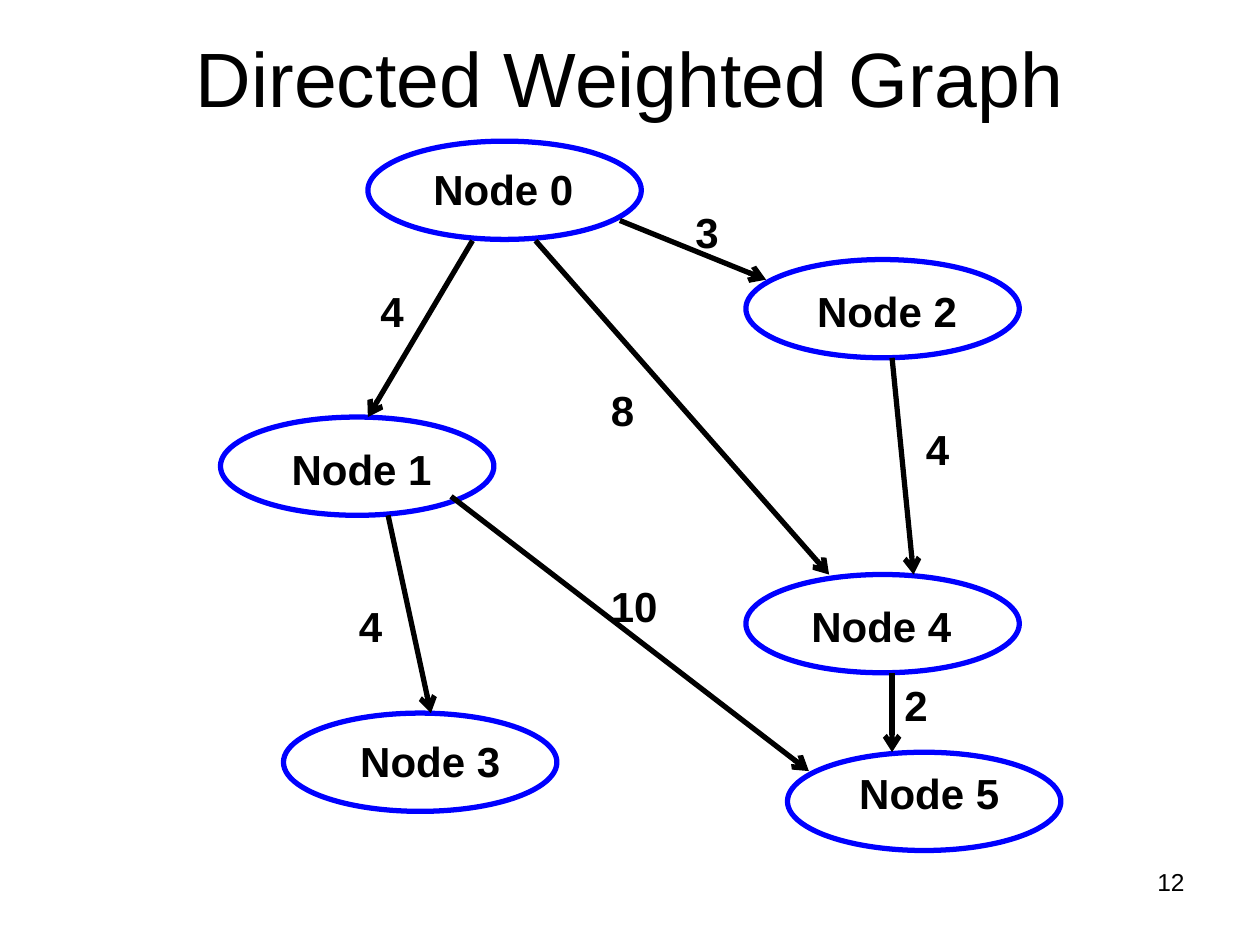
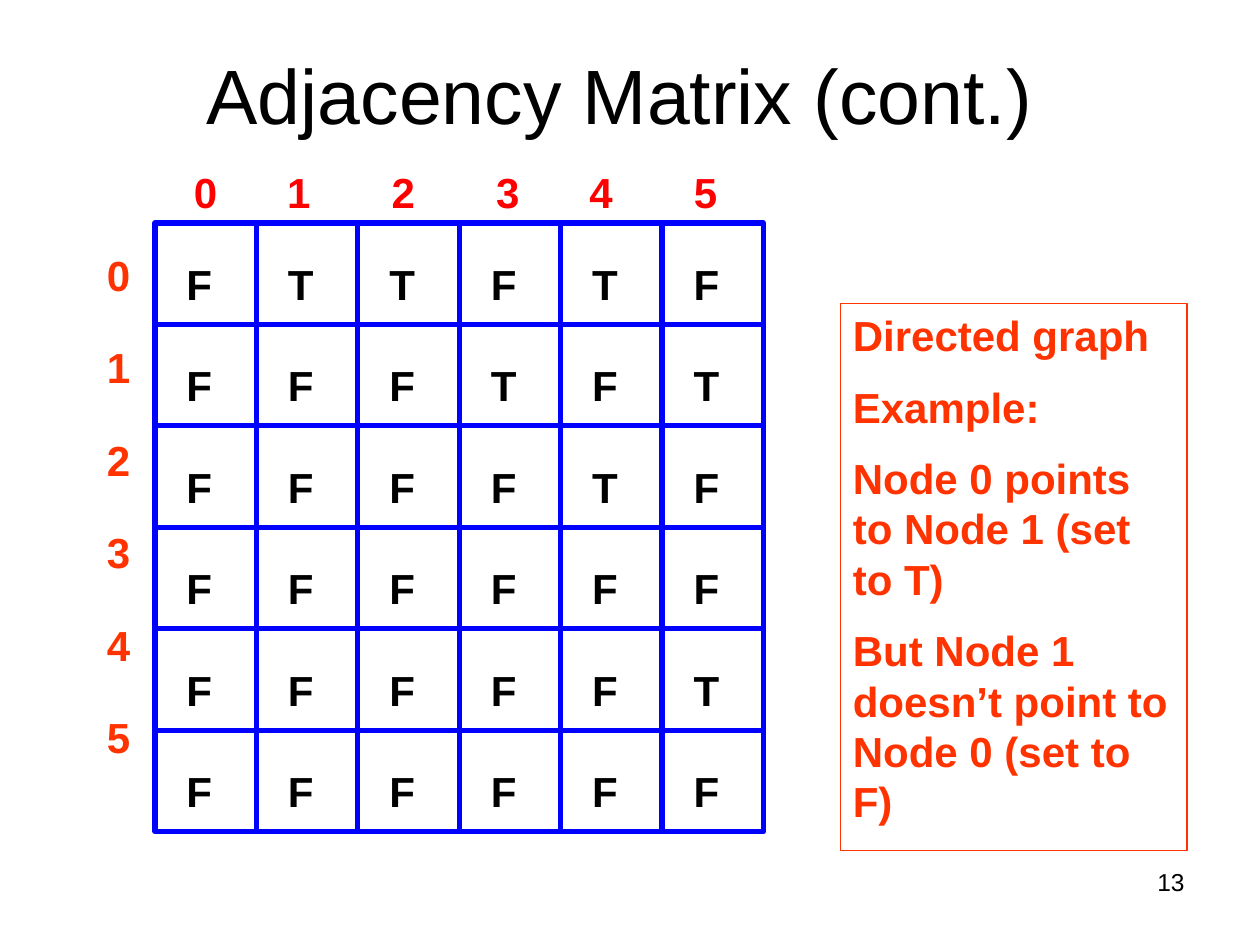
from pptx import Presentation
from pptx import util as u
from pptx.dml.color import RGBColor
from pptx.enum import shapes, text
from pptx.oxml import xmlchemy

BLACK = RGBColor(0x00, 0x00, 0x00)
WHITE = RGBColor(0xFF, 0xFF, 0xFF)
BLUE = RGBColor(0x00, 0x00, 0xFF)
RED = RGBColor(0xFF, 0x00, 0x00)
ORANGE = RGBColor(0xFF, 0x33, 0x00)

TITLE = {"name": "Arial", "size": u.Pt(44), "bold": False}
LABEL = {"name": "Arial", "size": u.Pt(24), "bold": True}
NUMBER = {"name": "Arial", "size": u.Pt(14), "bold": False}
CENTER = {"alignment": text.PP_ALIGN.CENTER}
RIGHT = {"alignment": text.PP_ALIGN.RIGHT}
LEFT = {"alignment": text.PP_ALIGN.LEFT}


def add_text(s, box, lines, font=LABEL, para=LEFT, color=BLACK, sp=None):
    sp = sp or s.shapes.add_textbox(*map(u.Inches, box))
    tf = sp.text_frame
    tf.word_wrap = True
    tf.vertical_anchor = text.MSO_ANCHOR.TOP
    for i, line in enumerate(lines):
        p = tf.paragraphs[0] if i == 0 else tf.add_paragraph()
        for name, value in para.items():
            if i or name != "space_before":
                setattr(p, name, value)
        r = p.add_run()
        r.text = line
        for name, value in font.items():
            setattr(r.font, name, value)
        r.font.color.rgb = color
    return tf


def add_outline(s, kind, box, color, width, fill=None):
    sp = s.shapes.add_shape(kind, *map(u.Inches, box))
    sp.shadow.inherit = False
    if fill is None:
        sp.fill.background()
    else:
        sp.fill.solid()
        sp.fill.fore_color.rgb = fill
    sp.line.color.rgb = color
    sp.line.width = u.Pt(width)
    return sp


prs = Presentation()
prs.slide_width, prs.slide_height = u.Inches(10), u.Inches(7.5)

slides = []
for title, box, number in [
    ("Directed Weighted Graph", (0.5, 0.17, 9, 0.87), "12"),
    ("Adjacency Matrix (cont.)", (0.42, 0.24, 9, 1), "13"),
]:
    s = prs.slides.add_slide(prs.slide_layouts[6])
    tf = add_text(s, box, [title], TITLE, CENTER)
    tf.vertical_anchor = text.MSO_ANCHOR.MIDDLE
    add_text(s, (7.17, 6.83, 2.33, 0.52), [number], NUMBER, RIGHT)
    slides.append(s)
graph, matrix = slides

nodes = [
    ("Node 0", 2.92, 1.12, (3.08, 1.25, 1.83, 0.62)),
    ("Node 2", 5.92, 2.06, (6, 2.22, 2.08, 0.62)),
    ("Node 1", 1.75, 3.31, (1.83, 3.47, 2.08, 0.62)),
    ("Node 4", 5.92, 4.56, (5.83, 4.72, 2.33, 0.62)),
    ("Node 3", 2.25, 5.66, (2.5, 5.79, 1.83, 0.62)),
    ("Node 5", 6.25, 5.97, (6.25, 6.04, 2.25, 0.62)),
]
for name, x, y, label_box in nodes:
    add_outline(graph, shapes.MSO_SHAPE.OVAL, (x, y, 2.17, 0.78), BLUE, 3, WHITE)
    add_text(graph, label_box, [name], LABEL, CENTER)

edges = [
    ("3", (4.92, 1.75, 6.08, 2.22), (5.42, 1.59)),
    ("4", (3.75, 1.91, 2.92, 3.31), (2.92, 2.22)),
    ("8", (4.25, 1.91, 6.58, 4.56), (4.75, 3)),
    ("4", (7.08, 2.84, 7.25, 4.56), (7.25, 3.31)),
    ("2", (7.08, 5.34, 7.08, 5.97), (7.08, 5.34)),
    ("4", (3.08, 4.09, 3.42, 5.66), (2.75, 4.72)),
    ("10", (3.58, 3.94, 6.42, 6.12), (4.75, 4.56)),
]
for weight, ends, label_at in edges:
    c = graph.shapes.add_connector(
        shapes.MSO_CONNECTOR.STRAIGHT, *map(u.Inches, ends))
    c.line.color.rgb = BLACK
    c.line.width = u.Pt(3)
    tail = xmlchemy.OxmlElement("a:tailEnd")
    tail.set("type", "arrow")
    c.line._get_or_add_ln().append(tail)
    c._element.spPr.append(xmlchemy.OxmlElement("a:effectLst"))
    add_text(graph, (*label_at, 0.67, 0.47), [weight])

sp = add_outline(matrix, shapes.MSO_SHAPE.RECTANGLE,
                 (6.67, 2.41, 2.75, 4.34), ORANGE, 0.75)
add_text(matrix, None, [
    "Directed graph",
    "Example:",
    "Node 0 points to Node 1 (set to T)",
    "But Node 1 doesn’t point to Node 0 (set to F)",
], LABEL, {**LEFT, "space_before": u.Pt(12)}, ORANGE, sp)

rows = ["FTTFTF", "FFFTFT", "FFFFTF", "FFFFFF", "FFFFFT", "FFFFFF"]
pitch = 4.83 / len(rows)
for i, row in enumerate(rows):
    for j, value in enumerate(row):
        box = (1.23 + j * pitch, 1.77 + i * pitch, pitch, pitch)
        sp = add_outline(matrix, shapes.MSO_SHAPE.RECTANGLE, box, BLUE, 3, WHITE)
        tf = add_text(matrix, None, [value], sp=sp)
        tf.margin_left, tf.margin_top = u.Inches(0.25), u.Inches(0.28)
        tf.margin_right = tf.margin_bottom = 0

add_text(matrix, (0.75, 1.93, 0.71, 4.49), list("012345"), LABEL,
         {**LEFT, "space_after": u.Pt(24)}, ORANGE)

tf = add_text(matrix, (0.88, 1.27, 5.54, 0.66),
              ["\t" + "\t".join("012345")], LABEL, LEFT, RED)
tabs = xmlchemy.OxmlElement("a:tabLst")
for stop in (0.56, 1.3, 2.13, 2.96, 3.7, 4.53):
    tab = xmlchemy.OxmlElement("a:tab")
    tab.set("pos", str(u.Inches(stop)))
    tab.set("algn", "l")
    tabs.append(tab)
tf.paragraphs[0]._p.get_or_add_pPr().append(tabs)

prs.save("out.pptx")
